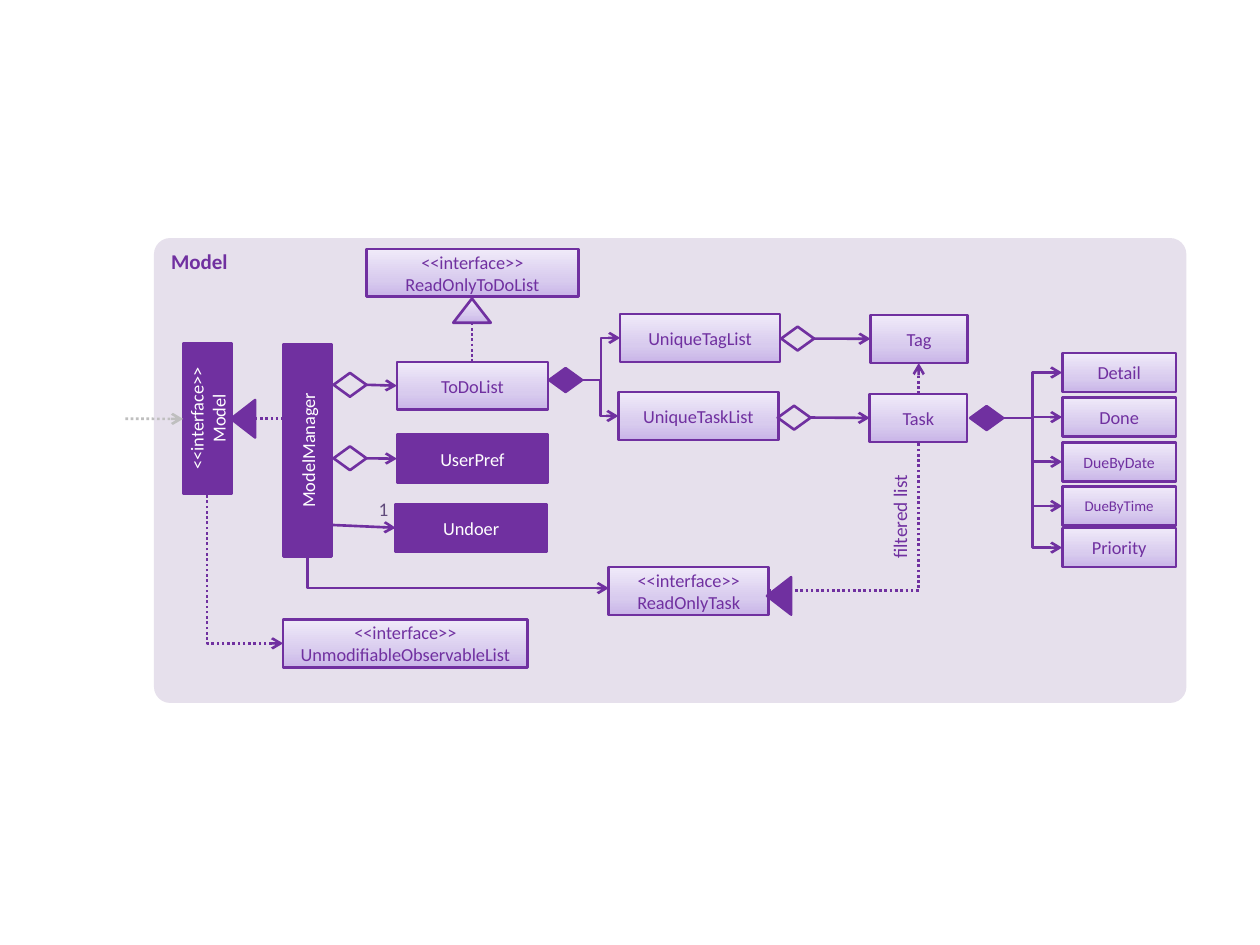
from copy import deepcopy

from lxml import etree
from pptx import Presentation
from pptx.dml.color import RGBColor
from pptx.enum.dml import MSO_LINE
from pptx.enum.shapes import MSO_CONNECTOR, MSO_SHAPE
from pptx.enum.text import MSO_ANCHOR, PP_ALIGN
from pptx.oxml.ns import qn
from pptx.util import Pt

RECTANGLE, ROUNDED = MSO_SHAPE.RECTANGLE, MSO_SHAPE.ROUNDED_RECTANGLE
DIAMOND, TRIANGLE = MSO_SHAPE.FLOWCHART_DECISION, MSO_SHAPE.ISOSCELES_TRIANGLE
STRAIGHT, ELBOW = MSO_CONNECTOR.STRAIGHT, MSO_CONNECTOR.ELBOW
DOTTED = MSO_LINE.ROUND_DOT
LEFT, CENTER, RIGHT = PP_ALIGN.LEFT, PP_ALIGN.CENTER, PP_ALIGN.RIGHT
TOP, MIDDLE = MSO_ANCHOR.TOP, MSO_ANCHOR.MIDDLE

COLORS = {"purple": "7030A0", "panel": "E6E0EC", "white": "FFFFFF",
          "gray": "BFBFBF", "multiplicity": "604A7B"}
GRADIENT = [(0, "C9B5E8"), (0.35, "D8CBEE"), (1, "F0EAF9")]
FONT = "Calibri"
LINE_WIDTH = 1.5
BOX_HEIGHT = 27.4
DIAMOND_SIZE = (18.8, 13.6)
TRIANGLE_SIZE = (21.4, 13.8)

PANEL = (88, 136, 590, 265.7)

# text, left, top, width, rotation
SOLID_BOXES = [
    ("UserPref", 226.8, 248.4, 86.4, 0),
    ("Undoer", 226.1, 288, 86.4, 0),
    ("ModelManager", 115, 243.6, 121.6, 270),
    ("<<interface>>\nModel", 75.3, 225.4, 86.4, 270),
]
LIGHT_BOXES = [
    ("<<interface>>\vReadOnlyToDoList", 209.4, 142.2, 121.2, 0),
    ("ToDoList", 226.8, 206.8, 86.4, 0),
    ("UniqueTagList", 354.4, 179.4, 91.4, 0),
    ("UniqueTaskList", 353.4, 224, 91.4, 0),
    ("Tag", 497.4, 180, 55.6, 0),
    ("Task", 497, 225.2, 55.6, 0),
    ("<<interface>>\vReadOnlyTask", 347.9, 324, 91.4, 0),
    ("<<interface>>\vUnmodifiableObservableList", 161.8, 354, 139.8, 0),
]
FIELD_LEFT, FIELD_WIDTH, FIELD_HEIGHT = 607, 65, 22.4
FIELDS = [("Detail", 201.7, 10.5), ("Done", 227.2, 10.5), ("DueByDate", 252.7, 9),
          ("DueByTime", 278, 8.5), ("Priority", 301.7, 10.5)]

# center x, center y, filled
DIAMONDS = [(200, 219.9, False), (200, 261.9, False), (323.2, 217.2, True),
            (455.8, 193.5, False), (453.8, 238.7, False), (563.8, 238.9, True)]
# center x, center y, rotation, solid
TRIANGLES = [(138.9, 239.3, 270, True), (445.2, 340.5, 270, True), (269.7, 177.5, 0, False)]

# start, end, arrow, dotted
STRAIGHT_LINES = [
    ((525, 225.2), (525, 207.5), "tail", True),
    ((209.4, 261.9), (226.8, 262.1), "tail", False),
    ((209.4, 219.9), (226.8, 220.4), "tail", False),
    ((190.1, 300), (226.1, 301.6), "tail", False),
    ((463.2, 238.6), (497, 238.8), "tail", False),
    ((465.2, 193.5), (497.4, 193.6), "tail", False),
    ((145.6, 239.3), (162.4, 239.3), None, True),
    ((269.7, 184.4), (269.7, 206.8), None, True),
]
# horizontal start, vertical end, arrow, dotted
CORNER_LINES = [
    ((439.3, 337.5), (525, 252.6), None, True),
    ((347.9, 336.1), (175.8, 318), "head", False),
    ((161.8, 367.7), (118.3, 282.2), "head", True),
]
LIST_START, LIST_ENDS = (332.6, 217.2), [(354.4, 193.1), (353.4, 237.7)]
FIELD_START = (573.2, 238.9)


def rgb(name):
    return RGBColor.from_string(COLORS[name])


def write(shape, text, size, color, align=CENTER, anchor=MIDDLE, bold=False):
    frame = shape.text_frame
    frame.word_wrap = True
    frame.vertical_anchor = anchor
    frame.text = text
    for paragraph in frame.paragraphs:
        paragraph.alignment = align
        font = paragraph.font
        font.name, font.size, font.bold = FONT, Pt(size), bold
        font.color.rgb = rgb(color)


def fill_gradient(shape):
    shape.fill.gradient()
    shape.fill.gradient_angle = 90
    stop_list = shape.fill.gradient_stops[0]._gs.getparent()
    stop_list.insert(1, deepcopy(stop_list[0]))
    for stop, (position, color) in zip(shape.fill.gradient_stops, GRADIENT):
        stop.position = position
        stop.color.rgb = RGBColor.from_string(color)


def add_shape(slide, kind, left, top, width, height, fill, outline="purple", rotation=0):
    shape = slide.shapes.add_shape(kind, Pt(left), Pt(top), Pt(width), Pt(height))
    shape.shadow.inherit = False
    shape.rotation = rotation
    if fill == "gradient":
        fill_gradient(shape)
    elif fill:
        shape.fill.solid()
        shape.fill.fore_color.rgb = rgb(fill)
    else:
        shape.fill.background()
    if outline:
        shape.line.color.rgb = rgb(outline)
        shape.line.width = Pt(LINE_WIDTH)
    else:
        shape.line.fill.background()
    return shape


def add_symbol(slide, kind, center_x, center_y, size, fill, rotation=0):
    width, height = size
    add_shape(slide, kind, center_x - width / 2, center_y - height / 2,
              width, height, fill, rotation=rotation)


def add_line(slide, kind, start, end, arrow="tail", dotted=False, color="purple"):
    connector = slide.shapes.add_connector(kind, *map(Pt, start + end))
    connector.line.color.rgb = rgb(color)
    connector.line.width = Pt(LINE_WIDTH)
    if dotted:
        connector.line.dash_style = DOTTED
    properties = connector._element.spPr
    if arrow:
        etree.SubElement(properties.find(qn("a:ln")), qn(f"a:{arrow}End"), type="arrow")
    etree.SubElement(properties, qn("a:effectLst"))
    return connector


def add_label(slide, text, box, size, color, rotation=0, margin=None):
    label = slide.shapes.add_textbox(*map(Pt, box))
    label.rotation = rotation
    write(label, text, size, color, RIGHT, TOP)
    if margin is not None:
        frame = label.text_frame
        frame.margin_left = frame.margin_right = Pt(margin)
        frame.margin_top = frame.margin_bottom = Pt(margin)


def main():
    presentation = Presentation()
    presentation.slide_width, presentation.slide_height = Pt(720), Pt(540)
    slide = presentation.slides.add_slide(presentation.slide_layouts[6])

    panel = add_shape(slide, ROUNDED, *PANEL, "panel", None)
    panel.adjustments[0] = 0.035
    write(panel, "Model", 12, "purple", LEFT, TOP, True)

    for boxes, fill, color in ((SOLID_BOXES, "purple", "white"),
                               (LIGHT_BOXES, "gradient", "purple")):
        for text, left, top, width, rotation in boxes:
            box = add_shape(slide, RECTANGLE, left, top, width, BOX_HEIGHT, fill,
                            rotation=rotation)
            write(box, text, 10.5, color)

    for text, top, size in FIELDS:
        field = add_shape(slide, RECTANGLE, FIELD_LEFT, top, FIELD_WIDTH, FIELD_HEIGHT,
                          "gradient")
        write(field, text, size, "purple")
        add_line(slide, ELBOW, FIELD_START, (FIELD_LEFT, top + FIELD_HEIGHT / 2))

    for end in LIST_ENDS:
        add_line(slide, ELBOW, LIST_START, end)
    for start, end, arrow, dotted in STRAIGHT_LINES:
        add_line(slide, STRAIGHT, start, end, arrow, dotted)
    for start, end, arrow, dotted in CORNER_LINES:
        corner = add_line(slide, ELBOW, start, end, arrow, dotted)
        corner._element.spPr.find(qn("a:prstGeom")).set("prst", "bentConnector2")
    add_line(slide, STRAIGHT, (71.7, 239.3), (104.6, 239.4), dotted=True, color="gray")

    for center_x, center_y, filled in DIAMONDS:
        add_symbol(slide, DIAMOND, center_x, center_y, DIAMOND_SIZE,
                   "purple" if filled else None)
    for center_x, center_y, rotation, solid in TRIANGLES:
        add_symbol(slide, TRIANGLE, center_x, center_y, TRIANGLE_SIZE,
                   "purple" if solid else "gradient", rotation)

    add_label(slide, "filtered list", (479.6, 288.6, 69.2, 20.6), 11, "purple", rotation=270)
    add_label(slide, "1", (216, 284.4, 6, 21.6), 11, "multiplicity", margin=0)

    presentation.save("out.pptx")


if __name__ == "__main__":
    main()
